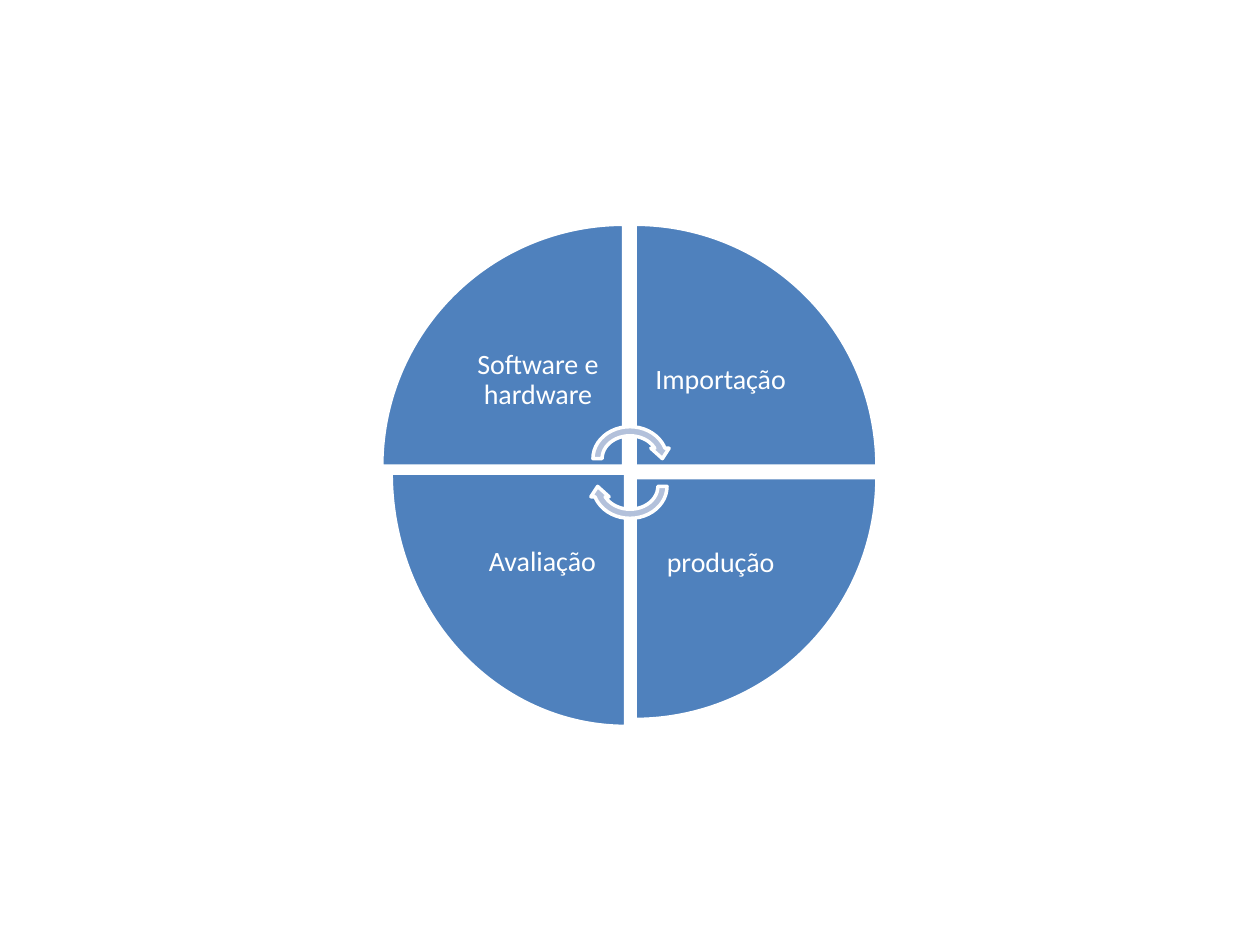
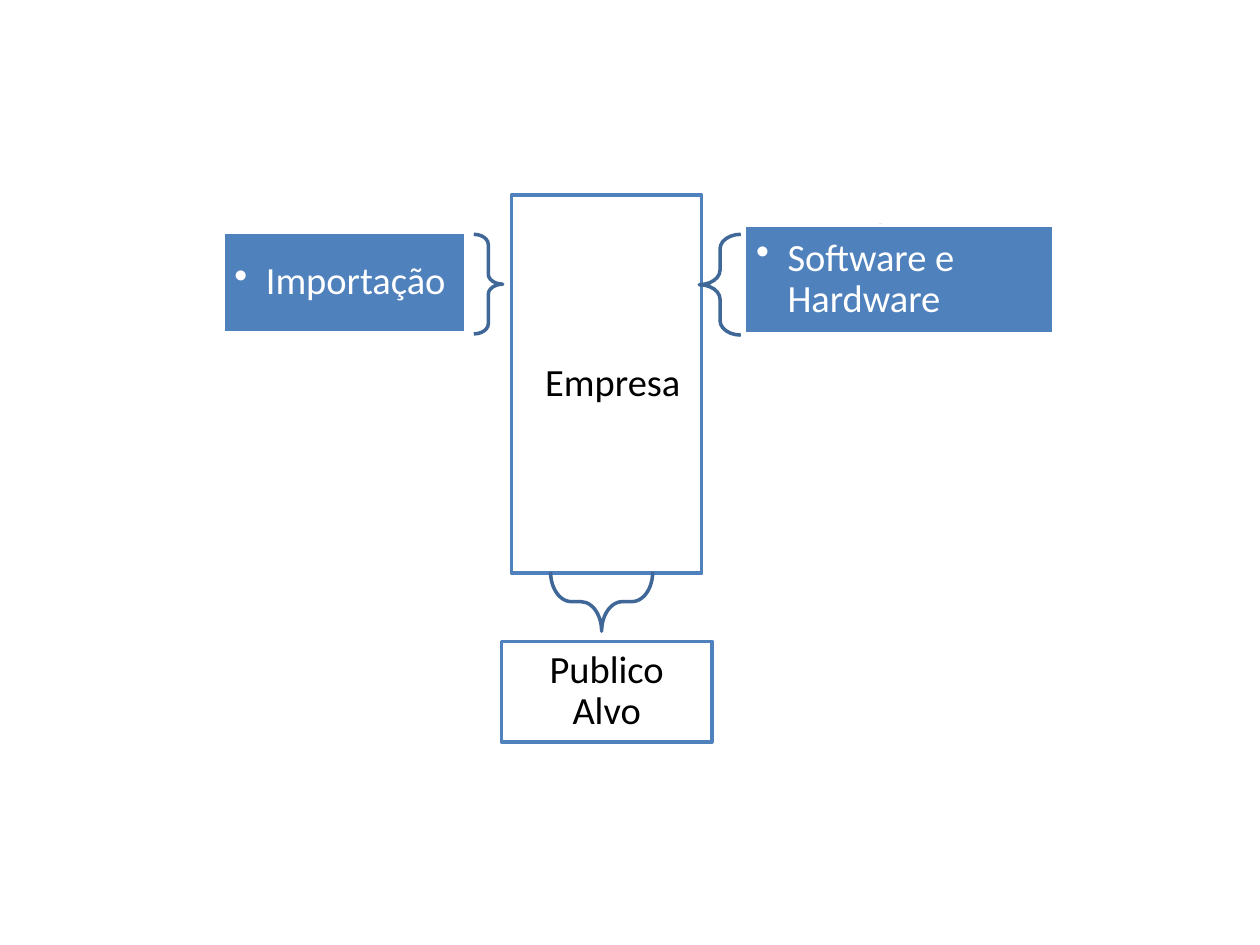
from pptx import Presentation
from pptx.dml.color import RGBColor
from pptx.enum.shapes import MSO_SHAPE as Preset
from pptx.enum.text import MSO_ANCHOR as Anchor, PP_ALIGN as Align
from pptx.oxml.ns import qn
from pptx.util import Inches, Pt
from lxml.etree import SubElement

THEME = {
    "blue": "4F81BD", "dark_blue": "3F6797", "pale_blue": "B3C1DB",
    "white": "FFFFFF", "black": "000000",
    "font": "Calibri", "wedge_size": 16, "box_size": 22, "line": 2,
}
SLIDE_SIZE = (10, 7.5)

# Cycle: text, column, row, rotation, own wedge and label frames where off the grid
CYCLE_ORIGIN, WEDGE, WEDGE_GAP, LABEL = (3.03, 1.78), 1.92, 0.09, 1.36
QUADRANTS = [
    ("Software e hardware", 0, 0, 0, None, None),
    ("Importação", 1, 0, 90, None, None),
    ("produção", 1, 1, 180, None, None),
    ("Avaliação", 0, 1, 270, (3.03, 3.83, 2.01, 1.86), (3.65, 3.75, 1.31, 1.42)),
]
ARROWS = [((4.67, 3.35, 0.66, 0.58), 0), ((4.67, 3.57, 0.66, 0.58), 180)]

# Company: brace frame and rotation; box text, frame and look
BRACES_BEHIND = [((6.67, 1.79, 0.33, 0.86), 0)]
BRACES_IN_FRONT = [
    ((5.55, 1.86, 0.33, 0.8), 0),
    ((3.76, 1.86, 0.23, 0.79), 180),
    ((4.54, 4.37, 0.47, 0.81), 270),
]
BOXES = [
    ("Empresa", (4.06, 1.55, 1.51, 3), "outlined", Align.RIGHT),
    ("Software e Hardware", (5.91, 1.79, 2.45, 0.86), "filled", Align.LEFT),
    ("Publico Alvo", (3.98, 5.09, 1.67, 0.8), "outlined", Align.CENTER),
    ("Importação", (1.77, 1.84, 1.93, 0.8), "filled", Align.LEFT),
]
BOX_LOOKS = {
    "outlined": {"fill": "white", "line": "blue", "text": "black", "insets": (0.17, 0.06)},
    "filled": {"fill": "blue", "line": "white", "text": "white", "insets": (0.09, 0.09)},
}


def color(name):
    return RGBColor.from_string(THEME[name])


def add_figure(page, preset, frame, fill, line, rotation=0):
    figure = page.shapes.add_shape(preset, *map(Inches, frame))
    figure.shadow.inherit = False
    figure.rotation = rotation
    if fill:
        figure.fill.solid()
        figure.fill.fore_color.rgb = color(fill)
    else:
        figure.fill.background()
    figure.line.color.rgb = color(line)
    figure.line.width = Pt(THEME["line"])
    return figure


def write(box, text, size, text_color, align, insets):
    frame = box.text_frame
    across, down = map(Inches, insets)
    layout = {
        "word_wrap": True, "vertical_anchor": Anchor.MIDDLE,
        "margin_left": across, "margin_right": across,
        "margin_top": down, "margin_bottom": down,
    }
    for name, value in layout.items():
        setattr(frame, name, value)
    para = frame.paragraphs[0]
    para.alignment, para.line_spacing = align, 0.9
    span = para.add_run()
    span.text = text
    for name, value in {"name": THEME["font"], "size": Pt(size)}.items():
        setattr(span.font, name, value)
    span.font.color.rgb = color(text_color)
    return para


def add_bullet(para):
    props = para._p.get_or_add_pPr()
    props.set("marL", str(Inches(0.25)))
    props.set("indent", str(-Inches(0.25)))
    SubElement(props, qn("a:buChar")).set("char", "•")


def add_braces(page, braces):
    for frame, rotation in braces:
        brace = add_figure(page, Preset.LEFT_BRACE, frame, None, "dark_blue", rotation)
        brace.adjustments[0] = 0.35


def build_cycle(page):
    left, top = CYCLE_ORIGIN
    step = WEDGE + WEDGE_GAP
    inset = WEDGE - LABEL
    for text, column, row, rotation, wedge_frame, label_frame in QUADRANTS:
        x, y = left + column * step, top + row * step
        wedge_frame = wedge_frame or (x, y, WEDGE, WEDGE)
        # Labels sit in the corner nearest the centre of the cycle
        label_frame = label_frame or (
            x + inset * (1 - column), y + inset * (1 - row), LABEL, LABEL)
        add_figure(page, Preset.PIE_WEDGE, wedge_frame, "blue", "white", rotation)
        label = page.shapes.add_textbox(*map(Inches, label_frame))
        write(label, text, THEME["wedge_size"], "white", Align.CENTER, (0.12, 0.12))
    for frame, rotation in ARROWS:
        add_figure(page, Preset.CIRCULAR_ARROW, frame, "pale_blue", "white", rotation)


def build_company(page):
    add_braces(page, BRACES_BEHIND)
    for text, frame, look_name, align in BOXES:
        look = BOX_LOOKS[look_name]
        box = add_figure(page, Preset.RECTANGLE, frame, look["fill"], look["line"])
        para = write(box, text, THEME["box_size"], look["text"], align, look["insets"])
        if look_name == "filled":
            add_bullet(para)
    add_braces(page, BRACES_IN_FRONT)


def main():
    deck = Presentation()
    deck.slide_width, deck.slide_height = map(Inches, SLIDE_SIZE)
    for build in (build_cycle, build_company):
        build(deck.slides.add_slide(deck.slide_layouts[6]))
    deck.save("out.pptx")


if __name__ == "__main__":
    main()
